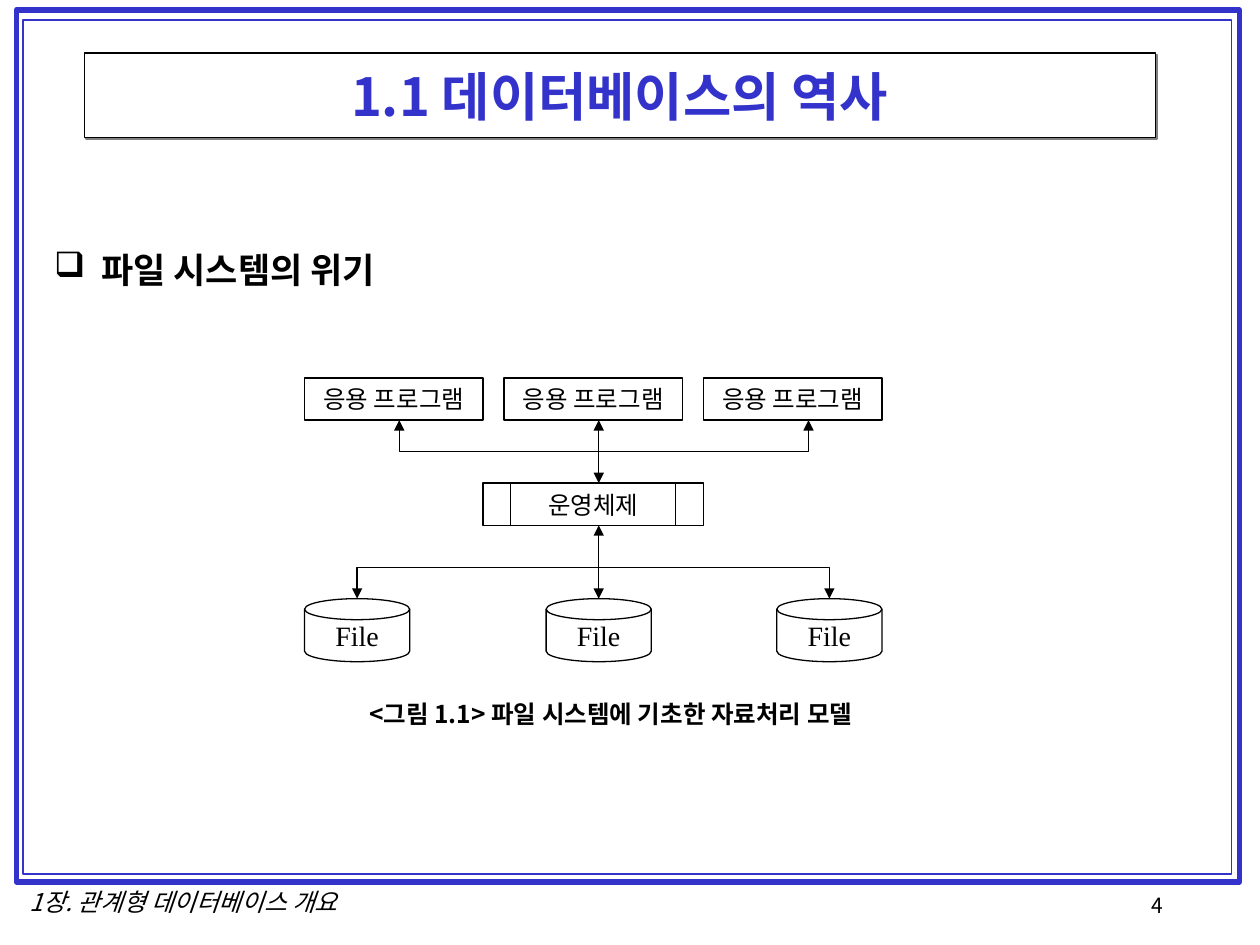
from lxml import etree
from pptx import Presentation
from pptx import util as u
from pptx.dml.color import RGBColor
from pptx.enum import shapes, text
from pptx.oxml import ns

SANS = "Noto Sans CJK KR"
SERIF = "Times New Roman"
BLUE = "3333CC"
BLACK = "000000"
WHITE = "FFFFFF"
LEFT = text.PP_ALIGN.LEFT
CENTER = text.PP_ALIGN.CENTER
TOP = text.MSO_ANCHOR.TOP
MIDDLE = text.MSO_ANCHOR.MIDDLE


def paint(target, color):
    target.solid() if hasattr(target, "solid") else None
    color_format = target.fore_color if hasattr(target, "fore_color") else target.color
    color_format.rgb = RGBColor.from_string(color)


def add_child(parent, tag, **attributes):
    return etree.SubElement(parent, ns.qn(tag), attributes)


def write(shape, words, size, font=SANS, color=BLACK, bold=False, italic=False,
          align=LEFT, anchor=TOP, wrap=True):
    frame = shape.text_frame
    frame.word_wrap = wrap
    frame.vertical_anchor = anchor
    para = frame.paragraphs[0]
    para.add_run().text = words
    para.alignment = align
    para.font.size = u.Pt(size)
    para.font.name = font
    para.font.bold = bold
    para.font.italic = italic
    paint(para.font.fill, color)
    add_child(para.font._element, "a:ea", typeface=SANS)
    return para


def add_box(page, kind, box, fill=None, line=BLACK, width=0.75):
    shape = page.shapes.add_shape(kind, *map(u.Cm, box))
    shape.shadow.inherit = False
    if fill:
        paint(shape.fill, fill)
    else:
        shape.fill.background()
    paint(shape.line, line)
    shape.line.width = u.Pt(width)
    return shape


def add_label(page, box, words, size, **style):
    label = page.shapes.add_textbox(*map(u.Cm, box))
    return write(label, words, size, **style)


def add_arrowheads(line):
    paint(line, BLACK)
    line.width = u.Pt(0.75)
    outline = line.fill._xPr
    for end in ("a:headEnd", "a:tailEnd"):
        add_child(outline, end, type="triangle")


def add_arrow(page, x, top, bottom):
    arrow = page.shapes.add_connector(
        shapes.MSO_CONNECTOR.STRAIGHT, *map(u.Cm, (x, top, x, bottom)))
    add_arrowheads(arrow.line)
    add_child(arrow._element.spPr, "a:effectLst")


def add_bracket(page, left, right, tips, bar):
    points = [(u.Cm(x), u.Cm(y)) for x, y in
              ((left, tips), (left, bar), (right, bar), (right, tips))]
    builder = page.shapes.build_freeform(*points[0])
    builder.add_line_segments(points[1:], close=False)
    bracket = builder.convert_to_shape()
    bracket.shadow.inherit = False
    bracket.fill.background()
    add_arrowheads(bracket.line)


def add_frame(page, box):
    left, top, width, height = box
    rectangle = shapes.MSO_SHAPE.RECTANGLE
    add_box(page, rectangle, box, line=BLUE, width=3)
    add_box(page, rectangle, (left + 0.14, top + 0.2, width - 0.3, height - 0.36),
            line=BLUE, width=1)


def add_footer(page, box):
    left, top, width, height = box
    add_label(page, (left, top, 7.14, height), "1장. 관계형 데이터베이스 개요", 14,
              italic=True, align=CENTER, wrap=False)
    add_label(page, (left + width - 2.59, top + 0.1, 2.59, height), "4", 12)


def add_title(page, box):
    title = add_box(page, shapes.MSO_SHAPE.RECTANGLE, box, fill=WHITE)
    effects = title._element.spPr.find(ns.qn("a:effectLst"))
    shadow = add_child(effects, "a:outerShdw", dist=str(u.Pt(1.4)), dir="2700000",
                       algn="ctr", rotWithShape="0")
    add_child(shadow, "a:srgbClr", val="808080")
    write(title, "1.1 데이터베이스의 역사", 30, color=BLUE, bold=True,
          align=CENTER, anchor=MIDDLE)


def add_heading(page, box):
    para = add_label(page, box, "파일 시스템의 위기", 20, bold=True)
    para.space_before = u.Pt(5)
    properties = para._p.get_or_add_pPr()
    properties.set("marL", str(u.Cm(0.95)))
    properties.set("indent", str(u.Cm(-0.95)))
    bullet = etree.Element(ns.qn("a:buChar"), char="❑")
    properties.find(ns.qn("a:defRPr")).addprevious(bullet)


def add_diagram(page, box):
    left, top, width, height = box
    axis = left + 5.93
    row = 0.85
    system_top = top + 2.12
    system_bottom = system_top + row
    disk_width, disk_height = 2.12, 1.27
    disk_top = top + height - disk_height
    program_width = 3.6
    centered = dict(font=SERIF, align=CENTER, anchor=MIDDLE, wrap=False)

    for index in range(3):
        x = left + index * (width - program_width) / 2
        program = add_box(page, shapes.MSO_SHAPE.RECTANGLE,
                          (x, top, program_width, row), fill=WHITE)
        write(program, "응용 프로그램", 14, **centered)

    system = add_box(page, shapes.MSO_SHAPE.FLOWCHART_PREDEFINED_PROCESS,
                     (left + program_width, system_top, 4.44, row))
    write(system, "운영체제", 14, **centered)

    first = left + disk_width / 2
    last = left + width - disk_width / 2
    for center in (first, axis, last):
        disk = add_box(page, shapes.MSO_SHAPE.FLOWCHART_MAGNETIC_DISK,
                       (center - disk_width / 2, disk_top, disk_width, disk_height))
        write(disk, "File", 16, **centered)

    add_bracket(page, left + 1.91, left + 10.16, top + row, top + row + 0.63)
    add_bracket(page, first, last, disk_top, disk_top - 0.63)
    add_arrow(page, axis, system_bottom, disk_top)
    add_arrow(page, axis, top + row, system_top)


def add_caption(page, box):
    add_label(page, box, "<그림 1.1> 파일 시스템에 기초한 자료처리 모델", 14, bold=True)


def main():
    deck = Presentation()
    deck.slide_width, deck.slide_height = u.Cm(25.4), u.Cm(19.05)
    page = deck.slides.add_slide(deck.slide_layouts[6])
    paint(page.background.fill, WHITE)
    add_footer(page, (0.13, 17.76, 25.42, 0.86))
    add_frame(page, (0.33, 0.2, 24.66, 17.58))
    add_title(page, (1.7, 1.07, 21.59, 1.7))
    add_heading(page, (0.84, 4.88, 23.7, 12.27))
    add_diagram(page, (6.14, 7.62, 11.64, 5.72))
    add_caption(page, (7.19, 13.97, 10.5, 0.86))
    deck.save("out.pptx")


if __name__ == "__main__":
    main()
